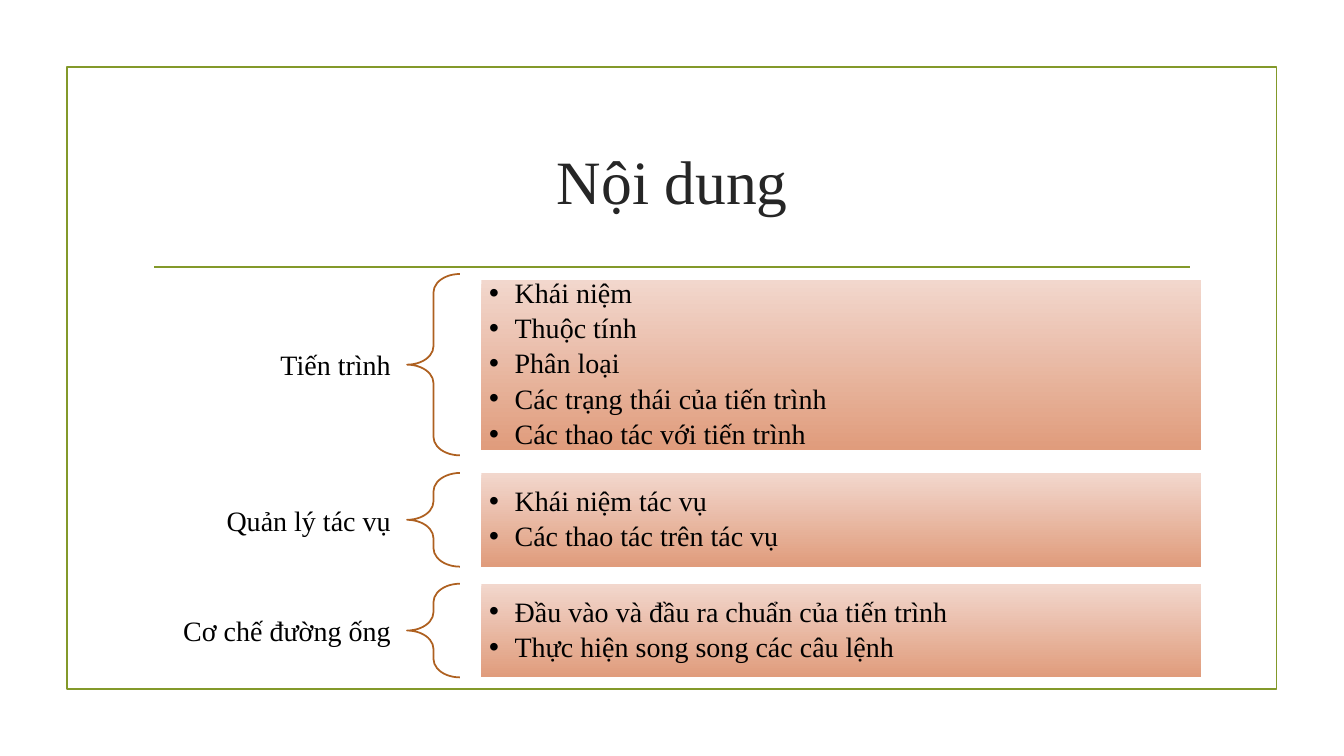
from dataclasses import dataclass

from lxml.etree import SubElement
from pptx import Presentation
from pptx.dml.color import RGBColor
from pptx.enum.shapes import MSO_CONNECTOR, MSO_SHAPE
from pptx.enum.text import MSO_ANCHOR, PP_ALIGN
from pptx.oxml.ns import qn
from pptx.util import Cm, Pt

RECT = MSO_SHAPE.RECTANGLE
BRACE = MSO_SHAPE.LEFT_BRACE
STRAIGHT = MSO_CONNECTOR.STRAIGHT
MIDDLE = MSO_ANCHOR.MIDDLE
LEFT, CENTER, RIGHT = PP_ALIGN.LEFT, PP_ALIGN.CENTER, PP_ALIGN.RIGHT


@dataclass(frozen=True)
class Theme:
    font: str = "Times New Roman"
    title: RGBColor = RGBColor.from_string("262626")
    text: RGBColor = RGBColor.from_string("000000")
    frame: RGBColor = RGBColor.from_string("83992A")
    brace: RGBColor = RGBColor.from_string("AE6020")
    light: RGBColor = RGBColor.from_string("F2D7CD")
    dark: RGBColor = RGBColor.from_string("E09C7C")
    large: Pt = Pt(44)
    body: Pt = Pt(20)
    line: Pt = Pt(1.25)
    after: Pt = Pt(3.6)


@dataclass(frozen=True)
class Topic:
    label: str
    points: tuple[str, ...]
    mid: float
    brace: float
    panel: float


THEME = Theme()
TOPICS = (
    Topic("Tiến trình",
          ("Khái niệm", "Thuộc tính", "Phân loại",
           "Các trạng thái của tiến trình", "Các thao tác với tiến trình"),
          9.19, 4.57, 4.29),
    Topic("Quản lý tác vụ",
          ("Khái niệm tác vụ", "Các thao tác trên tác vụ"),
          13.1, 2.36, 2.36),
    Topic("Cơ chế đường ống",
          ("Đầu vào và đầu ra chuẩn của tiến trình",
           "Thực hiện song song các câu lệnh"),
          15.89, 2.36, 2.36),
)


def add_outline(slide, kind, left: float, top: float, width: float,
                height: float, color: RGBColor):
    shape = slide.shapes.add_shape(kind, Cm(left), Cm(top), Cm(width), Cm(height))
    shape.shadow.inherit = False
    shape.fill.background()
    shape.line.color.rgb = color
    shape.line.width = THEME.line
    return shape


def set_frame(shape, side: float, edge: float):
    frame = shape.text_frame
    frame.word_wrap = True
    frame.vertical_anchor = MIDDLE
    frame.margin_left = frame.margin_right = Cm(side)
    frame.margin_top = frame.margin_bottom = Cm(edge)
    return frame


def set_text(para, text: str, align, size: Pt, color: RGBColor) -> None:
    para.text = text
    para.alignment = align
    para.font.name = THEME.font
    para.font.size = size
    para.font.color.rgb = color


def add_text(slide, text: str, left: float, top: float, width: float,
             height: float, align, size: Pt, color: RGBColor,
             side: float, edge: float) -> None:
    box = slide.shapes.add_textbox(Cm(left), Cm(top), Cm(width), Cm(height))
    para = set_frame(box, side, edge).paragraphs[0]
    set_text(para, text, align, size, color)


def add_bullet(para) -> None:
    props = para._p.get_or_add_pPr()
    props.set("marL", str(Cm(0.64)))
    props.set("indent", str(-Cm(0.64)))
    SubElement(props, qn("a:buFont"), typeface="Arial")
    SubElement(props, qn("a:buChar"), char="•")


def add_panel(slide, points: tuple[str, ...], top: float, height: float) -> None:
    panel = slide.shapes.add_shape(RECT, Cm(12.13), Cm(top), Cm(18.14), Cm(height))
    panel.shadow.inherit = False
    panel.line.fill.background()
    panel.fill.gradient()
    panel.fill.gradient_angle = 270
    for stop, color in zip(panel.fill.gradient_stops, (THEME.light, THEME.dark)):
        stop.color.rgb = color
    frame = set_frame(panel, 0.2, 0.2)
    for index, point in enumerate(points):
        para = frame.add_paragraph() if index else frame.paragraphs[0]
        add_bullet(para)
        set_text(para, point, LEFT, THEME.body, THEME.text)
        para.line_spacing = 0.9
        para.space_after = THEME.after


def add_topic(slide, topic: Topic) -> None:
    add_text(slide, topic.label, 3.61, topic.mid - 1.18, 6.65, 2.36,
             RIGHT, THEME.body, THEME.text, 0.41, 0.15)
    brace = add_outline(slide, BRACE, 10.26, topic.mid - topic.brace / 2,
                        1.33, topic.brace, THEME.brace)
    brace.adjustments[0] = 0.35
    add_panel(slide, topic.points, topic.mid - topic.panel / 2, topic.panel)


def add_rule(slide) -> None:
    rule = slide.shapes.add_connector(STRAIGHT, Cm(3.89), Cm(6.73), Cm(30), Cm(6.73))
    rule.line.color.rgb = THEME.frame
    rule.line.width = THEME.line
    SubElement(rule._element.spPr, qn("a:effectLst"))


def main() -> None:
    deck = Presentation()
    deck.slide_width, deck.slide_height = Cm(33.87), Cm(19.05)
    slide = deck.slides.add_slide(deck.slide_layouts[6])
    add_outline(slide, RECT, 1.69, 1.69, 30.48, 15.67, THEME.frame)
    add_rule(slide)
    add_text(slide, "Nội dung", 3.61, 2.72, 26.67, 3.63,
             CENTER, THEME.large, THEME.title, 0.25, 0.13)
    for topic in TOPICS:
        add_topic(slide, topic)
    deck.save("out.pptx")


if __name__ == "__main__":
    main()
